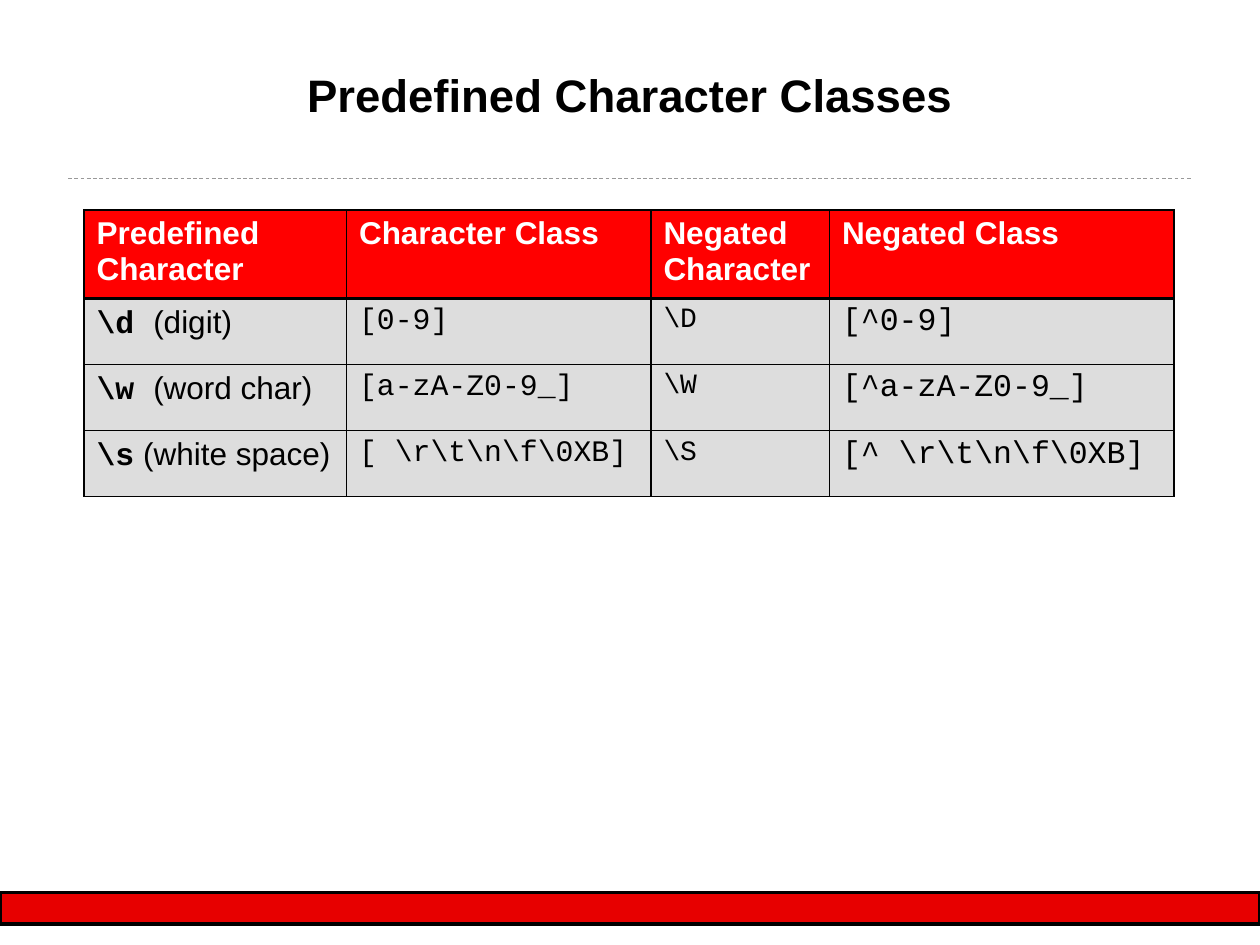
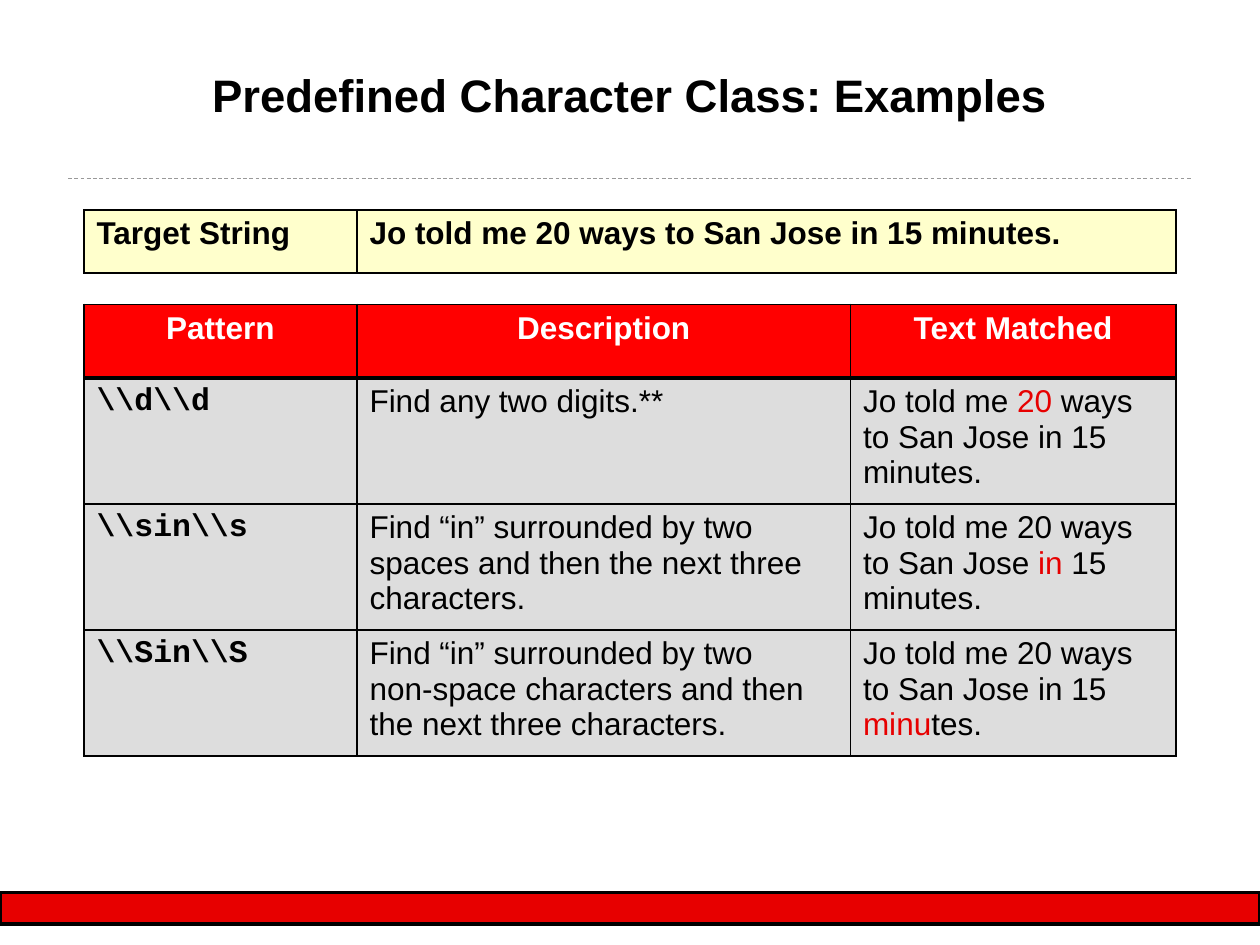
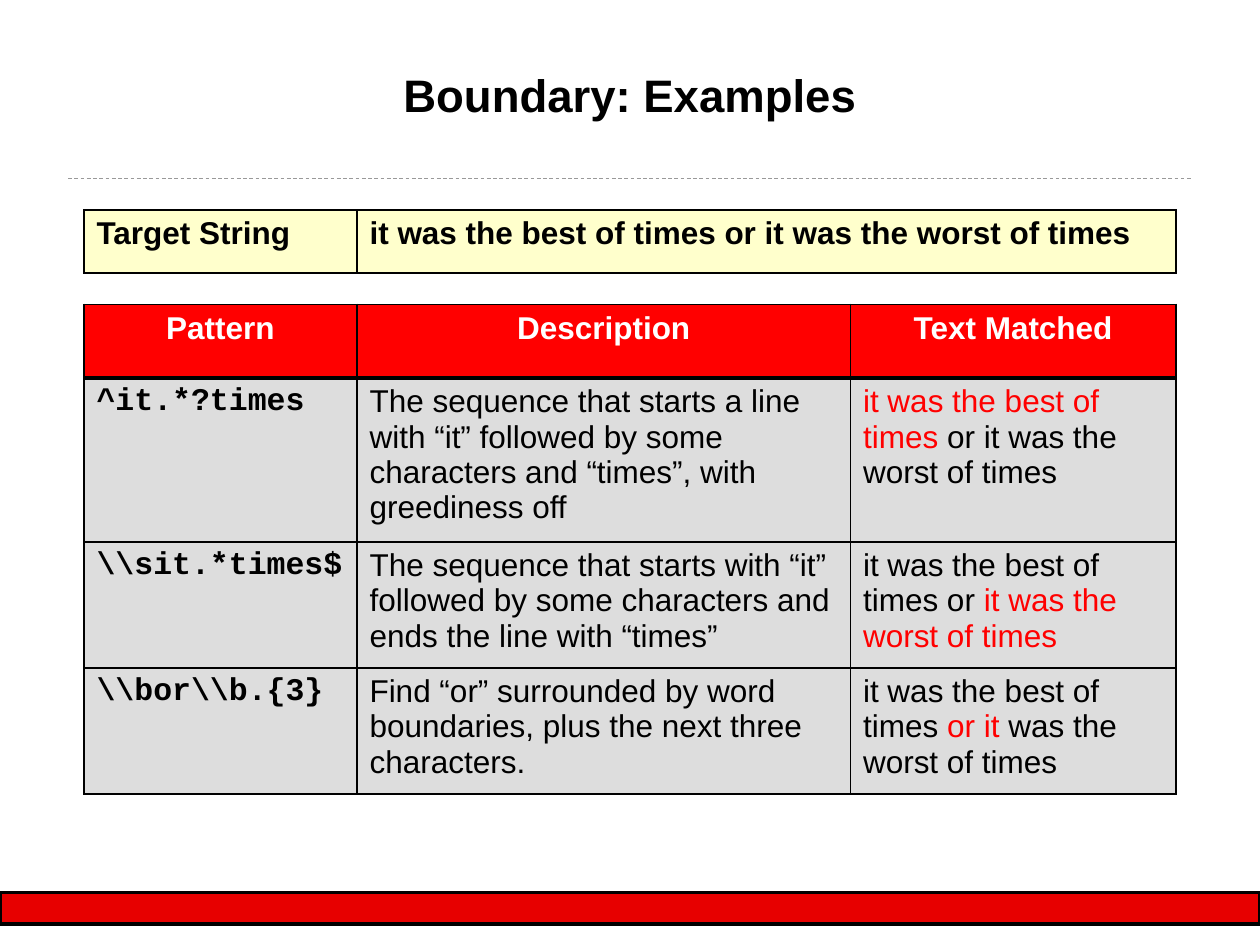
import pptx
import pptx.util
import pptx.dml.color
import pptx.enum.dml
import pptx.enum.shapes
import pptx.enum.text
import pptx.oxml.ns
import lxml.etree

STYLES = {
    "title": {"size": 26, "bold": True},
    "head": {"bold": True, "color": "FFFFFF"},
    "bold": {"bold": True},
    "body": {},
    "code": {"name": "Courier New", "bold": True},
    "mono16": {"name": "Courier New", "size": 16},
    "mono17": {"name": "Courier New", "size": 17},
    "mono18": {"name": "Courier New"},
    "found": {"color": "E70000"},
    "match": {"color": "FF0000"},
}
BASE = {"name": "Arial", "size": 18, "bold": False, "color": "000000"}
HEAD, BODY, TARGET = "FF0000", "DDDDDD", "FFFFCC"
THIN, THICK = 1.08, 2.21
PATTERN_HEADS = ["Pattern", "Description", "Text Matched"]
PATTERN_STYLES = ["code", "body", "body"]


def rgb(value):
    return pptx.dml.color.RGBColor.from_string(value)


class Deck:
    """Holds the style and the current slide, on a grid of 120 columns by 90 rows."""

    def __init__(self):
        self.prs = pptx.Presentation()
        self.prs.slide_width = pptx.util.Inches(10)
        self.prs.slide_height = pptx.util.Inches(7.5)
        self.s = None

    def x(self, cols):
        return int(self.prs.slide_width * cols / 120)

    def y(self, rows):
        return int(self.prs.slide_height * rows / 90)

    def box(self, left, top, width, height):
        return self.x(left), self.y(top), self.x(width), self.y(height)

    def slide(self, title):
        self.s = self.prs.slides.add_slide(self.prs.slide_layouts[6])
        self.rule(6.5, 113.5, 17)
        self.band(0, 85, 120, 3)
        self.title(title)

    def rule(self, left, right, row):
        line = self.s.shapes.add_connector(
            pptx.enum.shapes.MSO_CONNECTOR.STRAIGHT,
            self.x(left), self.y(row), self.x(right), self.y(row))
        line.line.color.rgb = rgb("999999")
        line.line.width = pptx.util.Pt(0.5)
        line.line.dash_style = pptx.enum.dml.MSO_LINE.DASH
        lxml.etree.SubElement(line._element.spPr, pptx.oxml.ns.qn("a:effectLst"))

    def band(self, *place):
        sp = self.s.shapes.add_shape(
            pptx.enum.shapes.MSO_SHAPE.FLOWCHART_PROCESS, *self.box(*place))
        sp.shadow.inherit = False
        sp.fill.solid()
        sp.fill.fore_color.rgb = rgb("E70000")
        sp.line.color.rgb = rgb("000000")
        sp.line.width = pptx.util.Pt(2.25)

    def title(self, text):
        tf = self.s.shapes.add_textbox(*self.box(8, 5.75, 104, 11.5)).text_frame
        insets = {"left": 0.01, "top": 0.05, "right": 0.01, "bottom": 0.01}
        for side, inset in insets.items():
            setattr(tf, "margin_" + side, pptx.util.Inches(inset))
        tf.word_wrap = True
        self.text(tf, text, "title", centred=True)

    def text(self, tf, content, style, centred=False):
        p = tf.paragraphs[0]
        if centred:
            p.alignment = pptx.enum.text.PP_ALIGN.CENTER
        runs = [(content, style)] if isinstance(content, str) else content
        for words, run_style in runs:
            for i, part in enumerate(words.split("\n")):
                if i:
                    p.add_line_break()
                r = p.add_run()
                r.text = part
                self.font(r.font, run_style)

    def font(self, font, style):
        values = {**BASE, **STYLES[style]}
        font.color.rgb = rgb(values.pop("color"))
        values["size"] = pptx.util.Pt(values["size"])
        for name, value in values.items():
            setattr(font, name, value)

    def borders(self, cell, top, bottom):
        tc_pr = cell._tc.get_or_add_tcPr()
        widths = {"L": THIN, "R": THIN, "T": top, "B": bottom}
        for i, (side, width) in enumerate(widths.items()):
            ln = lxml.etree.Element(
                pptx.oxml.ns.qn("a:ln" + side), w=str(int(pptx.util.Pt(width))))
            fill = lxml.etree.SubElement(ln, pptx.oxml.ns.qn("a:solidFill"))
            lxml.etree.SubElement(fill, pptx.oxml.ns.qn("a:srgbClr"), val="000000")
            tc_pr.insert(i, ln)

    def table(self, row, cols, heights, cells, styles, fill=BODY, heads=None, centred=False):
        lines = ([heads] if heads else []) + cells
        table = self.s.shapes.add_table(
            len(lines), len(cols), *self.box(8, row, sum(cols), sum(heights))).table
        table.first_row = table.horz_banding = False
        for column, width in zip(table.columns, cols):
            column.width = self.x(width)
        for i, (line, height) in enumerate(zip(lines, heights)):
            table.rows[i].height = self.y(height)
            head = bool(heads) and i == 0
            top = THICK if heads and i == 1 else THIN
            for j, content in enumerate(line):
                cell = table.cell(i, j)
                cell.fill.solid()
                cell.fill.fore_color.rgb = rgb(HEAD if head else fill)
                self.borders(cell, top, THICK if head else THIN)
                self.text(cell.text_frame, content,
                          "head" if head else styles[j], head and centred)

    def examples(self, title, target, heights, cells):
        self.slide(title)
        self.table(20, [26, 78], [6], [["Target String", target]], ["bold"] * 2, TARGET)
        self.table(29, [26, 47, 31], [7] + heights, cells, PATTERN_STYLES,
                   heads=PATTERN_HEADS, centred=True)


def main():
    deck = Deck()
    deck.slide("Predefined Character Classes")
    deck.table(
        20, [25, 29, 17, 32.8], [8.4, 6.3, 6.3, 6.3],
        [
            [[(r"\d ", "code"), ("(digit)", "body")], "[0-9]", r"\D", "[^0-9]"],
            [[(r"\w ", "code"), ("(word char)", "body")],
             "[a-zA-Z0-9_]", r"\W", "[^a-zA-Z0-9_]"],
            [[(r"\s", "code"), (" (white space)", "body")],
             r"[ \r\t\n\f\0XB]", r"\S", r"[^ \r\t\n\f\0XB]"],
        ],
        ["code", "mono17", "mono16", "mono18"],
        heads=["Predefined Character", "Character Class",
               "Negated Character", "Negated Class"])

    deck.examples(
        "Predefined Character Class: Examples",
        "Jo told me 20 ways to San Jose in 15 minutes.",
        [12, 12, 12],
        [
            [r"\\d\\d", "Find any two digits.**",
             [("Jo told me ", "body"), ("20", "found"),
              (" ways to San Jose in 15 minutes.", "body")]],
            [r"\\sin\\s",
             "Find “in” surrounded by two spaces and then the next three characters.",
             [("Jo told me 20 ways to San Jose ", "body"), ("in ", "found"),
              ("15 minutes.", "body")]],
            [r"\\Sin\\S",
             "Find “in” surrounded by two\n"
             "non-space characters and then the next three characters.",
             [("Jo told me 20 ways to San Jose in 15 ", "body"), ("minu", "found"),
              ("tes.", "body")]],
        ])

    deck.examples(
        "Boundary: Examples",
        "it was the best of times or it was the worst of times",
        [15.6, 12, 12],
        [
            ["^it.*?times",
             "The sequence that starts a line with “it” followed by some "
             "characters and “times”, with greediness off",
             [("it was the best of times ", "match"),
              ("or it was the worst of times", "body")]],
            [r"\\sit.*times$",
             "The sequence that starts with “it” followed by some characters "
             "and ends the line with “times”",
             [("it was the best of times or ", "body"),
              ("it was the worst of times", "match")]],
            [r"\\bor\\b.{3}",
             "Find “or” surrounded by word boundaries, plus the next three characters.",
             [("it was the best of times ", "body"), ("or it ", "match"),
              ("was the worst of times", "body")]],
        ])
    deck.prs.save("out.pptx")


if __name__ == "__main__":
    main()
